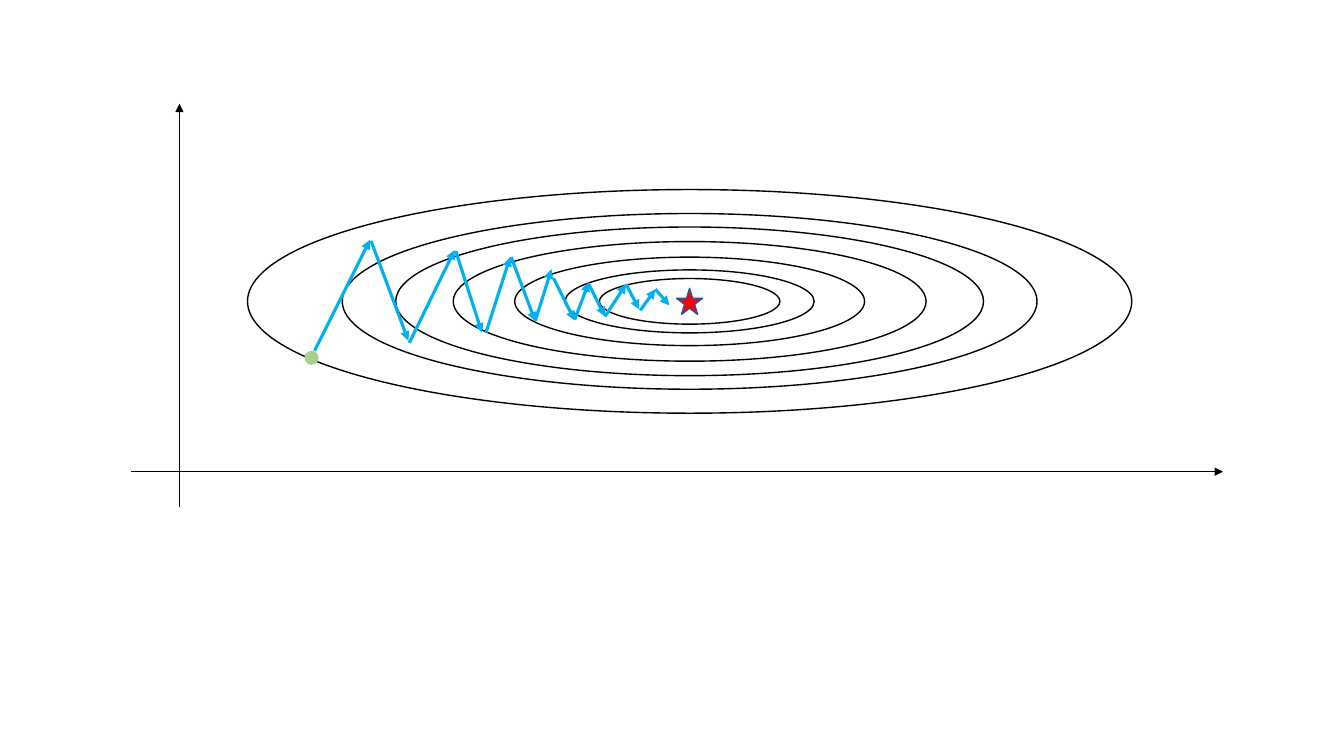
from dataclasses import dataclass
from typing import Optional

from lxml.etree import SubElement
from pptx import Presentation
from pptx.dml.color import RGBColor
from pptx.enum.shapes import MSO_CONNECTOR, MSO_SHAPE
from pptx.oxml.ns import qn
from pptx.util import Inches, Pt


@dataclass(frozen=True)
class Theme:
    ink: str = "000000"
    step: str = "00B0F0"
    start: str = "A9D18E"
    optimum: str = "FF0000"
    optimum_edge: str = "325491"
    axis_width: float = 0.5
    outline_width: float = 1
    step_width: float = 2.25


@dataclass(frozen=True)
class Grid:
    columns: float = 13.33
    rows: float = 7.5
    cell: int = Inches(1)

    def span(self, cells: float) -> int:
        return round(cells * self.cell)


@dataclass(frozen=True)
class Marker:
    kind: MSO_SHAPE
    x: float
    y: float
    width: float
    height: float
    fill: Optional[str] = None
    line: Optional[str] = None


@dataclass(frozen=True)
class Arrow:
    x1: float
    y1: float
    x2: float
    y2: float
    color: str
    weight: float


THEME = Theme()
GRID = Grid()
CENTER_X, CENTER_Y = 6.84, 2.99
FLATNESS = 0.253
CONTOUR_WIDTHS = (8.77, 6.89, 5.83, 4.69, 3.47, 2.47, 1.79)

CONTOURS = [
    Marker(MSO_SHAPE.OVAL, CENTER_X, CENTER_Y, width, width * FLATNESS, line=THEME.ink)
    for width in CONTOUR_WIDTHS
]
OPTIMUM = Marker(MSO_SHAPE.STAR_5_POINT, CENTER_X, CENTER_Y, 0.26, 0.26,
                 THEME.optimum, THEME.optimum_edge)
START = Marker(MSO_SHAPE.OVAL, 3.09, 3.55, 0.14, 0.14, THEME.start)
AXES = [
    Arrow(1.78, 5.03, 1.78, 1.03, THEME.ink, THEME.axis_width),
    Arrow(1.3, 4.68, 12.13, 4.68, THEME.ink, THEME.axis_width),
]
DESCENT = [
    Arrow(*ends, THEME.step, THEME.step_width)
    for ends in (
        (3.12, 3.48, 3.67, 2.38),
        (3.68, 2.39, 4.05, 3.38),
        (4.06, 3.4, 4.51, 2.48),
        (4.52, 2.49, 4.78, 3.3),
        (4.82, 3.3, 5.06, 2.55),
        (5.07, 2.55, 5.31, 3.19),
        (5.31, 3.18, 5.47, 2.67),
        (5.49, 2.76, 5.7, 3.18),
        (5.7, 3.17, 5.84, 2.8),
        (5.84, 2.82, 6, 3.14),
        (6, 3.14, 6.21, 2.82),
        (6.21, 2.82, 6.34, 3.07),
        (6.35, 3.08, 6.5, 2.87),
        (6.5, 2.87, 6.64, 3.03),
    )
]


def draw_marker(shapes, marker: Marker) -> None:
    sp = shapes.add_shape(
        marker.kind,
        GRID.span(marker.x - marker.width / 2),
        GRID.span(marker.y - marker.height / 2),
        GRID.span(marker.width),
        GRID.span(marker.height),
    )
    sp.shadow.inherit = False
    if marker.fill:
        sp.fill.solid()
        sp.fill.fore_color.rgb = RGBColor.from_string(marker.fill)
    else:
        sp.fill.background()
    if marker.line:
        sp.line.color.rgb = RGBColor.from_string(marker.line)
        sp.line.width = Pt(THEME.outline_width)
    else:
        sp.line.fill.background()


def draw_arrow(shapes, arrow: Arrow) -> None:
    ends = (GRID.span(v) for v in (arrow.x1, arrow.y1, arrow.x2, arrow.y2))
    cxn = shapes.add_connector(MSO_CONNECTOR.STRAIGHT, *ends)
    cxn.line.color.rgb = RGBColor.from_string(arrow.color)
    cxn.line.width = Pt(arrow.weight)
    props = cxn.element.spPr
    SubElement(props.find(qn("a:ln")), qn("a:tailEnd"), type="triangle")
    SubElement(props, qn("a:effectLst"))


def main() -> None:
    prs = Presentation()
    prs.slide_width = GRID.span(GRID.columns)
    prs.slide_height = GRID.span(GRID.rows)
    s = prs.slides.add_slide(prs.slide_layouts[6])
    for marker in (*CONTOURS, OPTIMUM):
        draw_marker(s.shapes, marker)
    for axis in AXES:
        draw_arrow(s.shapes, axis)
    draw_marker(s.shapes, START)
    group = s.shapes.add_group_shape()
    for step in DESCENT:
        draw_arrow(group.shapes, step)
    prs.save("out.pptx")


if __name__ == "__main__":
    main()
